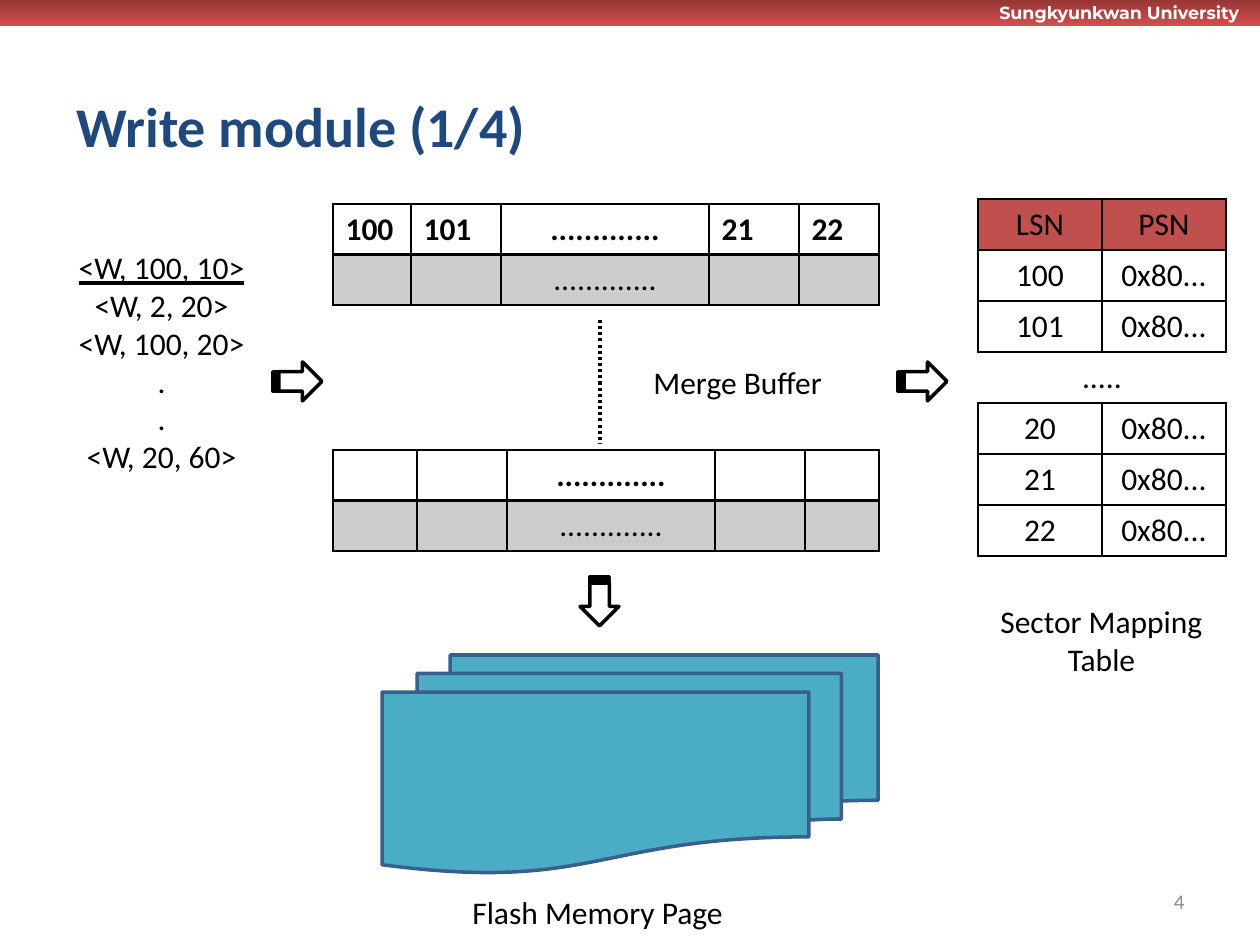
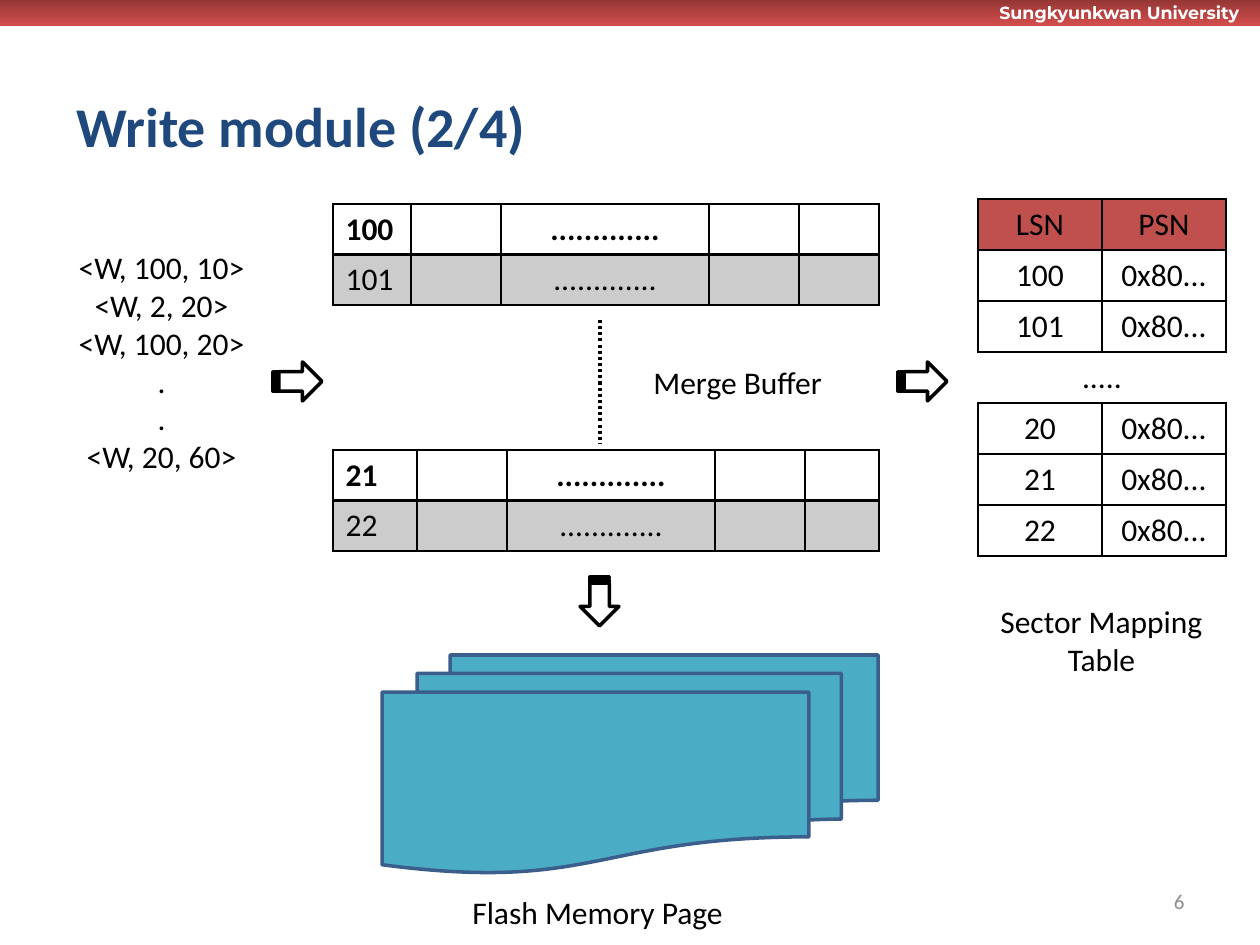
from lxml.etree import SubElement
from pptx import Presentation
from pptx.dml.color import RGBColor
from pptx.enum.dml import MSO_LINE
from pptx.enum.shapes import MSO_CONNECTOR, MSO_SHAPE
from pptx.enum.text import MSO_ANCHOR, PP_ALIGN
from pptx.oxml import parse_xml
from pptx.oxml.ns import nsdecls, qn
from pptx.util import Pt

EMU_PER_PX = 914400 / 126
SLIDE_WIDTH, SLIDE_HEIGHT = 1260, 945

BLACK = RGBColor(0x00, 0x00, 0x00)
WHITE = RGBColor(0xFF, 0xFF, 0xFF)
NAVY = RGBColor(0x1F, 0x49, 0x7D)
RED = RGBColor(0xC0, 0x50, 0x4D)
BAND_TOP = RGBColor(0x95, 0x37, 0x35)
BAND_BOTTOM = RGBColor(0xD3, 0x4D, 0x4D)
TEAL = RGBColor(0x4B, 0xAC, 0xC6)
TEAL_EDGE = RGBColor(0x3A, 0x5F, 0x8C)
CELL_GRAY = RGBColor(0xCC, 0xCC, 0xCC)
NUMBER_GRAY = RGBColor(0x8C, 0x8C, 0x8C)

LEFT, CENTER, RIGHT = PP_ALIGN.LEFT, PP_ALIGN.CENTER, PP_ALIGN.RIGHT

REQUESTS = ["<W, 100, 10>", "<W, 2, 20>", "<W, 100, 20>", ".", ".", "<W, 20, 60>"]
DOTS = "............."
SKIPPED = "....."
MAPPED_SECTORS = ["100", "101", SKIPPED, "20", "21", "22"]
MAPPING_ROW, BUFFER_ROW = 51, 50
UPPER_COLUMNS = [78, 90, 208, 90, 80]
LOWER_COLUMNS = [84, 90, 208, 90, 74]


def px(length):
    return round(length * EMU_PER_PX)


class Deck:
    """Holds the presentation, its style and the current slide."""

    def __init__(self):
        self.presentation = Presentation()
        self.presentation.slide_width = px(SLIDE_WIDTH)
        self.presentation.slide_height = px(SLIDE_HEIGHT)
        self.slide = None

    def new_slide(self, title, number):
        self.slide = self.presentation.slides.add_slide(self.presentation.slide_layouts[6])
        # Top band
        band = self.shape(MSO_SHAPE.RECTANGLE, 0, 0, SLIDE_WIDTH, 26)
        band.fill.gradient()
        band.fill.gradient_angle = 270
        for stop, color in zip(band.fill.gradient_stops, (BAND_TOP, BAND_BOTTOM)):
            stop.color.rgb = color
        self.text(["Sungkyunkwan University"], 987, -4, 276, 34, size=10,
                  font="Montserrat", color=WHITE, bold=True)
        # Title and page number
        self.text([title], 64, 66, 1070, 118, size=32, color=NAVY, bold=True,
                  anchor=MSO_ANCHOR.MIDDLE, wrap=True)
        self.text([number], 903, 876, 294, 50, size=12, color=NUMBER_GRAY,
                  align=RIGHT, anchor=MSO_ANCHOR.MIDDLE, wrap=True)

    def run(self, paragraph, text, size=18, font="Calibri", color=BLACK,
            bold=False, underline=False, align=LEFT):
        paragraph.alignment = align
        run = paragraph.add_run()
        run.text = text
        run.font.size = Pt(size)
        run.font.name = font
        run.font.color.rgb = color
        run.font.bold = bold
        if underline:
            run.font.underline = True

    def text(self, lines, left, top, width, height, anchor=MSO_ANCHOR.TOP,
             wrap=False, underlined=None, **style):
        box = self.slide.shapes.add_textbox(px(left), px(top), px(width), px(height))
        frame = box.text_frame
        frame.word_wrap = wrap
        frame.vertical_anchor = anchor
        for index, line in enumerate(lines):
            paragraph = frame.add_paragraph() if index else frame.paragraphs[0]
            self.run(paragraph, line, underline=index == underlined, **style)

    def shape(self, kind, left, top, width, height, fill=None, line=None):
        shape = self.slide.shapes.add_shape(kind, px(left), px(top), px(width), px(height))
        shape.shadow.inherit = False
        if fill is not None:
            shape.fill.solid()
            shape.fill.fore_color.rgb = fill
        if line is None:
            shape.line.fill.background()
        else:
            shape.line.color.rgb = line
            shape.line.width = Pt(2)
        return shape

    def arrow(self, left, top, rotation=0):
        arrow = self.shape(MSO_SHAPE.STRIPED_RIGHT_ARROW, left, top, 49, 39, WHITE, BLACK)
        arrow.rotation = rotation

    def dotted_line(self, x, top, bottom):
        line = self.slide.shapes.add_connector(
            MSO_CONNECTOR.STRAIGHT, px(x), px(top), px(x), px(bottom))
        line.line.color.rgb = BLACK
        line.line.width = Pt(1.75)
        line.line.dash_style = MSO_LINE.ROUND_DOT
        SubElement(line._element.spPr, qn("a:effectLst"))

    def table(self, left, top, columns, row_count, row_height):
        frame = self.slide.shapes.add_table(
            row_count, len(columns), px(left), px(top),
            px(sum(columns)), px(row_count * row_height))
        table = frame.table
        table.first_row = table.horz_banding = False
        for column, width in zip(table.columns, columns):
            column.width = px(width)
        for row in table.rows:
            row.height = px(row_height)
        return table

    def cell(self, cell, text, fill=None, sides=1, top=1, bottom=1, **style):
        # Borders come before the fill in the cell properties
        properties = cell._tc.get_or_add_tcPr()
        for side, points in zip("LRTB", (sides, sides, top, bottom)):
            paint = '<a:solidFill><a:srgbClr val="000000"/></a:solidFill>' if points else "<a:noFill/>"
            properties.append(parse_xml(
                f'<a:ln{side} {nsdecls("a")} w="{Pt(points)}">{paint}</a:ln{side}>'))
        if fill is None:
            cell.fill.background()
        else:
            cell.fill.solid()
            cell.fill.fore_color.rgb = fill
        if text:
            self.run(cell.text_frame.paragraphs[0], text, **style)

    def mapping_table(self):
        rows = [("LSN", "PSN")]
        rows += [(sector, "" if sector == SKIPPED else "0x80...") for sector in MAPPED_SECTORS]
        table = self.table(978, 199, [124, 124], len(rows), MAPPING_ROW)
        for row, texts in enumerate(rows):
            skipped = texts[0] == SKIPPED
            for column, text in enumerate(texts):
                self.cell(table.cell(row, column), text, fill=None if row else RED,
                          sides=0 if skipped else 1, align=CENTER)
            if skipped:
                table.cell(row, 0).merge(table.cell(row, 1))

    def buffer_table(self, top, columns, rows):
        table = self.table(333, top, columns, 2, BUFFER_ROW)
        for column in range(len(columns)):
            for row, texts in enumerate(rows):
                text = texts[column]
                self.cell(table.cell(row, column), text,
                          fill=CELL_GRAY if row else None,
                          top=2 if row else 1, bottom=1 if row else 2,
                          bold=row == 0, align=CENTER if text == DOTS else LEFT)

    def write_module(self, title, number, upper_rows, lower_rows, underlined=None):
        self.new_slide(title, number)
        # Write requests
        self.text(REQUESTS, 63, 242, 197, 242, underlined=underlined, align=CENTER)
        # Merge buffer
        self.buffer_table(204, UPPER_COLUMNS, upper_rows)
        self.dotted_line(600, 320, 444)
        self.text(["Merge Buffer"], 641, 357, 197, 50)
        self.buffer_table(450, LOWER_COLUMNS, lower_rows)
        # Sector mapping table
        self.mapping_table()
        self.text(["Sector Mapping", "Table"], 987, 596, 229, 89, align=CENTER)
        # Flash memory pages
        self.shape(MSO_SHAPE.FLOWCHART_MULTIDOCUMENT, 382, 655, 496, 218, TEAL, TEAL_EDGE)
        self.text(["Flash Memory Page"], 460, 887, 278, 50)
        # Flow arrows
        self.arrow(273, 362)
        self.arrow(898, 362)
        self.arrow(575, 582, rotation=90)


def buffer_row(first="", second="", fourth="", fifth=""):
    return [first, second, DOTS, fourth, fifth]


def main():
    deck = Deck()
    deck.write_module("Write module (1/4)", "4",
                      [buffer_row("100", "101", "21", "22"), buffer_row()],
                      [buffer_row(), buffer_row()], underlined=0)
    deck.write_module("Write module (2/4)", "6",
                      [buffer_row("100"), buffer_row("101")],
                      [buffer_row("21"), buffer_row("22")])
    deck.presentation.save("out.pptx")


if __name__ == "__main__":
    main()
